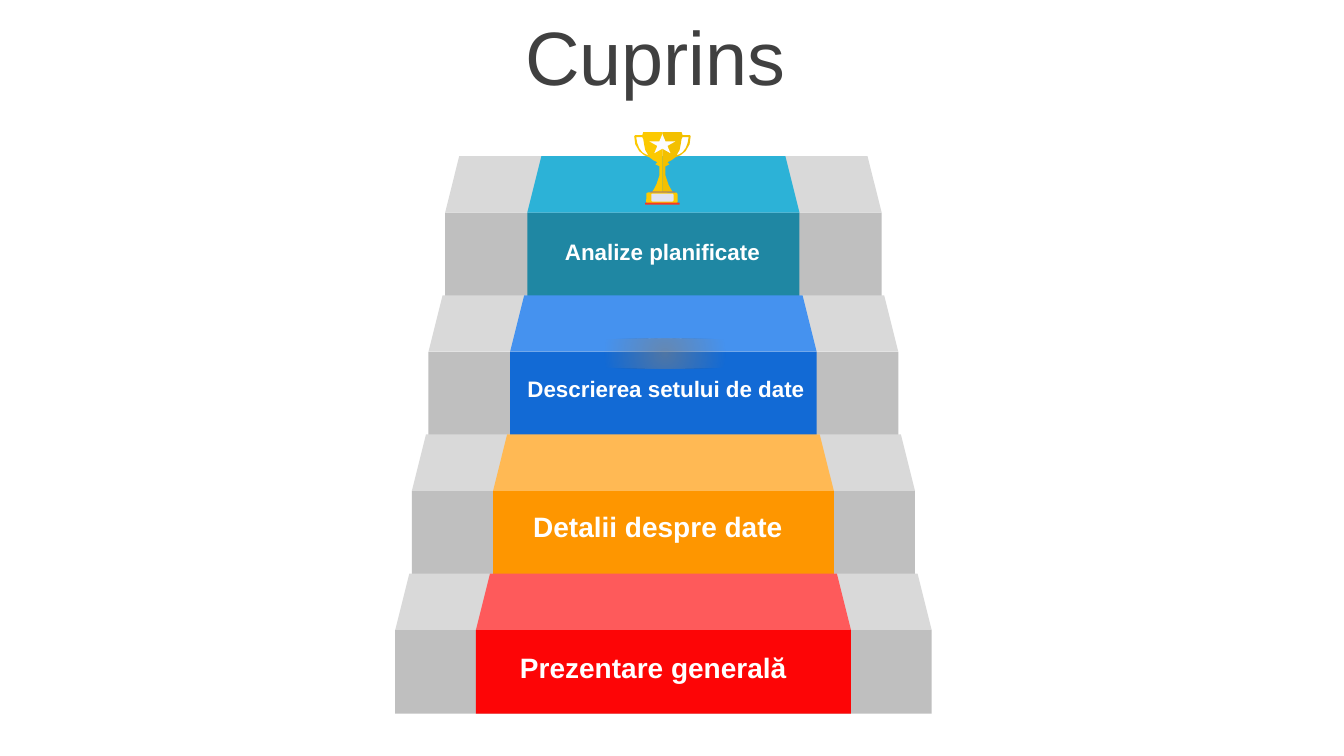
from lxml import etree
from pptx import Presentation
from pptx import util as u
from pptx.dml.color import RGBColor
from pptx.enum import shapes, text
from pptx.oxml import ns

COLUMNS, ROWS = 13.33, 7.5
AXIS = 6.58
STEP_RISE, FRONT_HEIGHT, TREAD_HEIGHT = 1.38, 0.83, 0.56
FIRST_FRONT = 6.25

COLORS = {
    "title": "404040", "label": "FFFFFF", "shadow": "808080",
    "side": "BFBFBF", "side_tread": "D9D9D9",
    "red": "FD0506", "red_tread": "FE5A5B",
    "orange": "FE9600", "orange_tread": "FFB954",
    "blue": "126AD5", "blue_tread": "4592EF",
    "teal": "1F87A3", "teal_tread": "2CB2D7",
    "gold": "FCC901", "dark_gold": "F3C000", "plate": "E1E3F1",
    "foot": "F73823", "rim": "F65B31", "sole": "782017", "star": "FCFCFD",
}

CUP_HALF = [
    (0, 0), (19, 0), (20, 3), (27, 3), (28, 4), (27, 12), (23, 19), (18, 23),
    (13, 25), (9, 28), (5, 30), (7, 32), (5, 33), (3, 34), (3, 43), (5.5, 52),
    (8, 56), (10.5, 59), (0, 59),
]
HANDLE_HOLE = [
    (14, 23), (17, 18), (18, 13), (19, 7), (20, 5), (26, 5), (25, 11),
    (23, 16), (20, 20), (17, 22),
]


class Stage:
    """Holds the style and the current slide, measured in grid columns and rows."""

    def __init__(self, deck):
        self.font = "Arial"
        self.column = deck.slide_width / COLUMNS
        self.row = deck.slide_height / ROWS
        self.slide = deck.slides.add_slide(deck.slide_layouts[6])
        self.shapes = self.slide.shapes

    def box(self, left, top, width, height):
        """Turn grid units into slide lengths."""
        return (round(left * self.column), round(top * self.row),
                round(width * self.column), round(height * self.row))

    def start_group(self):
        """Collect the next shapes in a new group."""
        self.shapes = self.slide.shapes.add_group_shape().shapes

    def end_group(self):
        """Return to drawing straight on the slide."""
        self.shapes = self.slide.shapes

    def paint(self, part, color):
        """Give a part a plain fill without outline or shadow."""
        part.shadow.inherit = False
        part.fill.solid()
        part.fill.fore_color.rgb = RGBColor.from_string(COLORS[color])
        part.line.fill.background()
        return part

    def block(self, kind, left, top, width, height, color):
        """Add a preset shape."""
        part = self.shapes.add_shape(kind, *self.box(left, top, width, height))
        return self.paint(part, color)

    def outline(self, contours, left, top, color):
        """Add a closed outline given in hundredths of a grid cell."""
        pen = self.shapes.build_freeform(*contours[0][0], scale=self.column / 100)
        pen.add_line_segments(contours[0][1:], close=True)
        for hole in contours[1:]:
            pen.move_to(*hole[0])
            pen.add_line_segments(hole[1:], close=True)
        origin = self.box(left, top, 0, 0)[:2]
        return self.paint(pen.convert_to_shape(*origin), color)

    def glow(self, left, top, width, height, color):
        """Add an ellipse that fades out from its centre."""
        part = self.block(shapes.MSO_SHAPE.OVAL, left, top, width, height, color)
        solid = part._element.spPr.find(ns.qn("a:solidFill"))
        stops = "".join(
            f'<a:gs pos="{place}"><a:srgbClr val="{COLORS[color]}">'
            f'<a:alpha val="{alpha}"/></a:srgbClr></a:gs>'
            for place, alpha in ((0, 55000), (40000, 0), (100000, 0)))
        fade = etree.fromstring(
            f'<a:gradFill {ns.nsdecls("a")}><a:gsLst>{stops}</a:gsLst>'
            '<a:path path="circle"><a:fillToRect l="50000" t="50000" '
            'r="50000" b="50000"/></a:path></a:gradFill>')
        solid.getparent().replace(solid, fade)

    def label(self, wording, left, top, width, height, *, size, color="label",
              bold=True, anchor=text.MSO_ANCHOR.BOTTOM, wrap=True,
              spacing=None, before=None):
        """Add a centred line of text."""
        frame = self.shapes.add_textbox(*self.box(left, top, width, height)).text_frame
        frame.word_wrap = wrap
        frame.vertical_anchor = anchor
        line = frame.paragraphs[0]
        line.alignment = text.PP_ALIGN.CENTER
        line.line_spacing = spacing
        line.space_before = before
        words = line.add_run()
        words.text = wording
        words.font.name = self.font
        words.font.size = u.Pt(size)
        words.font.bold = bold
        words.font.color.rgb = RGBColor.from_string(COLORS[color])


def draw_stairs(stage):
    """Draw the grey stairs and the coloured runner on them."""
    preset = shapes.MSO_SHAPE
    stage.start_group()
    runner = ["red", "orange", "blue", "teal"]
    for width, narrowing, colors in ((5.32, 0.33, ["side"] * 4), (3.72, 0.34, runner)):
        for kind, lift, height, suffix in (
                (preset.RECTANGLE, 0, FRONT_HEIGHT, ""),
                (preset.TRAPEZOID, TREAD_HEIGHT, TREAD_HEIGHT, "_tread")):
            for level, color in enumerate(colors):
                span = width - narrowing * level
                top = FIRST_FRONT - STEP_RISE * level - lift
                stage.block(kind, AXIS - span / 2, top, span, height, color + suffix)
    stage.end_group()


def draw_trophy(stage):
    """Draw the cup with its base and star."""
    preset = shapes.MSO_SHAPE
    stage.start_group()
    for left, top, width, height, color in (
            (6.41, 1.91, 0.31, 0.11, "gold"),
            (6.46, 1.92, 0.22, 0.08, "plate"),
            (6.4, 2.01, 0.34, 0.02, "foot")):
        stage.block(preset.ROUNDED_RECTANGLE, left, top, width, height, color)
    for side, color in ((-1, "gold"), (1, "dark_gold")):
        contours = [[(side * x, y) for x, y in contour]
                    for contour in (CUP_HALF, HANDLE_HOLE)]
        stage.outline(contours, 6.57, 1.31, color)
    stage.block(preset.RECTANGLE, 6.45, 1.9, 0.25, 0.01, "rim")
    stage.block(preset.STAR_5_POINT, 6.44, 1.33, 0.26, 0.19, "star")
    stage.end_group()


def main():
    """Build and save the contents slide."""
    deck = Presentation()
    deck.slide_width, deck.slide_height = u.Inches(COLUMNS), u.Inches(ROWS)
    stage = Stage(deck)
    middle = text.MSO_ANCHOR.MIDDLE
    stage.label("Cuprins", 0.17, 0.21, 12.66, 0.79, size=54, color="title",
                bold=False, anchor=middle, spacing=0.9, before=u.Pt(10))
    draw_stairs(stage)
    stage.glow(5.1, 3.36, 2.99, 0.3, "shadow")
    draw_trophy(stage)
    stage.label("Prezentare generală", 4.81, 6.4, 3.34, 0.44, size=20)
    stage.label("Detalii despre date", 4.94, 5, 3.17, 0.44, size=20)
    stage.label("Descrierea setului de date", 5.08, 3.67, 3.05, 0.37, size=16,
                anchor=text.MSO_ANCHOR.TOP, wrap=False)
    stage.label("Analize planificate", 4.56, 2.31, 4.02, 0.37, size=16)
    deck.save("out.pptx")


if __name__ == "__main__":
    main()
